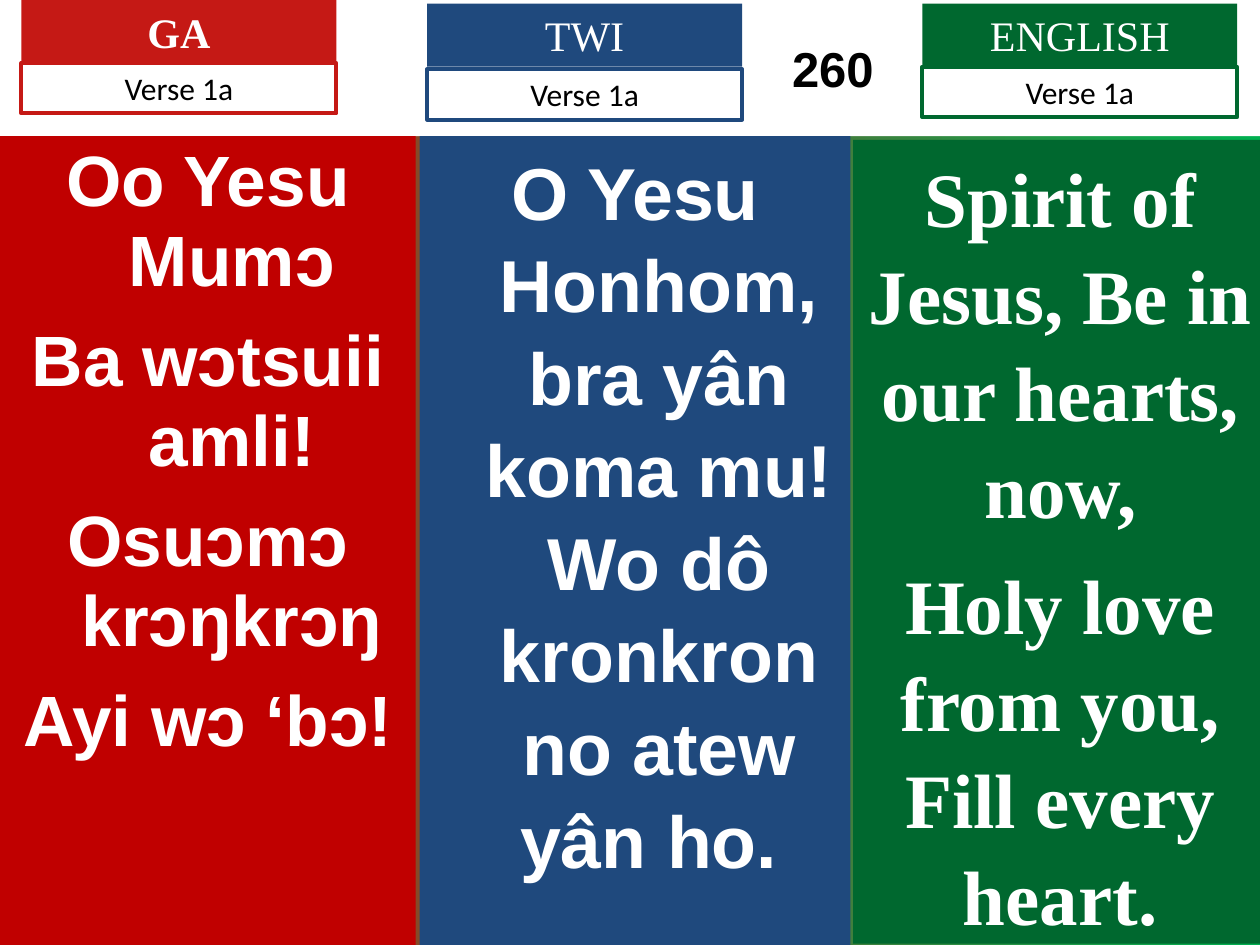
from pptx import Presentation
from pptx.dml.color import RGBColor as Rgb
from pptx.enum.shapes import MSO_SHAPE as Shape
from pptx.enum.text import MSO_ANCHOR as Anchor, PP_ALIGN as Align
from pptx.util import Inches, Pt

RED = Rgb(0xC5, 0x19, 0x15)
DEEP = Rgb(0xC0, 0x00, 0x00)
BLUE = Rgb(0x1F, 0x49, 0x7D)
GREEN = Rgb(0x00, 0x68, 0x2F)
LIME = Rgb(0x00, 0xB0, 0x50)
WHITE = Rgb(0xFF, 0xFF, 0xFF)
BLACK = Rgb(0x00, 0x00, 0x00)
SANS, SERIF, LABEL = "Arial", "Times New Roman", "Calibri"


def style(par, face, size, color, bold=False):
    par.alignment = Align.CENTER
    for run in par.runs:
        font = run.font
        font.name, font.size, font.bold = face, Pt(size), bold
        font.color.rgb = color


def add_box(slide, left, top, width, height, fill=None, line=None):
    box = slide.shapes.add_shape(Shape.RECTANGLE, Inches(left), Inches(top),
                                 Inches(width), Inches(height))
    box.shadow.inherit = False
    if fill is None:
        box.fill.background()
    else:
        box.fill.solid()
        box.fill.fore_color.rgb = fill
    if line is None:
        box.line.fill.background()
    else:
        box.line.color.rgb = line
        box.line.width = Pt(2.25)
    frame = box.text_frame
    frame.word_wrap = True
    frame.vertical_anchor = Anchor.TOP
    return frame


def add_title(slide, text):
    title = slide.shapes.title
    title.left, title.top = Inches(0), Inches(0)
    title.width, title.height = Inches(10), Inches(1.08)
    title.fill.solid()
    title.fill.fore_color.rgb = WHITE
    frame = title.text_frame
    frame.text = text
    frame.vertical_anchor = Anchor.MIDDLE
    frame.margin_left, frame.margin_right = Inches(3.22), Inches(0)
    style(frame.paragraphs[0], SANS, 28, BLACK, True)


def add_head(slide, left, top, name, color, bold=False, drop=0.5):
    frame = add_box(slide, left, top, 2.5, 0.5, fill=color)
    frame.text = name
    style(frame.paragraphs[0], SERIF, 24, WHITE, bold)
    frame = add_box(slide, left, top + drop, 2.5, 0.4, line=color)
    frame.text = "Verse 1a"
    style(frame.paragraphs[0], LABEL, 18, BLACK)


def add_verse(slide, box, color, lines, face, size, space, hang=0):
    frame = add_box(slide, *box, fill=color)
    frame.text = "\n".join(lines)
    for i, par in enumerate(frame.paragraphs):
        style(par, face, size, WHITE, True)
        par.line_spacing = space
        par.space_before = Pt(11 if i else 0)
        if hang:
            props = par._p.get_or_add_pPr()
            props.set("marL", str(Inches(hang)))
            props.set("indent", str(-Inches(hang)))


def add_back(slide):
    fill = slide.background.fill
    fill.gradient()
    fill.gradient_angle = 0
    for stop, color in zip(fill.gradient_stops, (RED, LIME)):
        stop.color.rgb = color


def main():
    deck = Presentation()
    deck.slide_width, deck.slide_height = Inches(10), Inches(7.5)
    slide = deck.slides.add_slide(deck.slide_layouts[5])
    add_back(slide)
    add_title(slide, "260")
    add_verse(slide, (0, 1.08, 3.3, 6.42), DEEP,
              ["Oo Yesu Mumɔ", "Ba wɔtsuii amli!", "Osuɔmɔ krɔŋkrɔŋ",
               "Ayi wɔ ‘bɔ!"], SANS, 40.7, 0.94, 0.38)
    add_verse(slide, (3.33, 1.08, 3.42, 6.42), BLUE,
              ["O Yesu Honhom, bra yân koma mu! Wo dô kronkron no atew "
               "yân ho. "], SANS, 42, 1.05, 0.38)
    add_verse(slide, (6.77, 1.11, 3.29, 6.38), GREEN,
              ["Spirit of Jesus, Be in our hearts, now,",
               "Holy love from you, Fill every heart."], SERIF, 44, 1.05)
    add_head(slide, 0.17, 0, "GA", RED, bold=True)
    add_head(slide, 3.39, 0.03, "TWI", BLUE, drop=0.52)
    add_head(slide, 7.32, 0.03, "ENGLISH", GREEN)
    deck.save("out.pptx")


if __name__ == "__main__":
    main()
